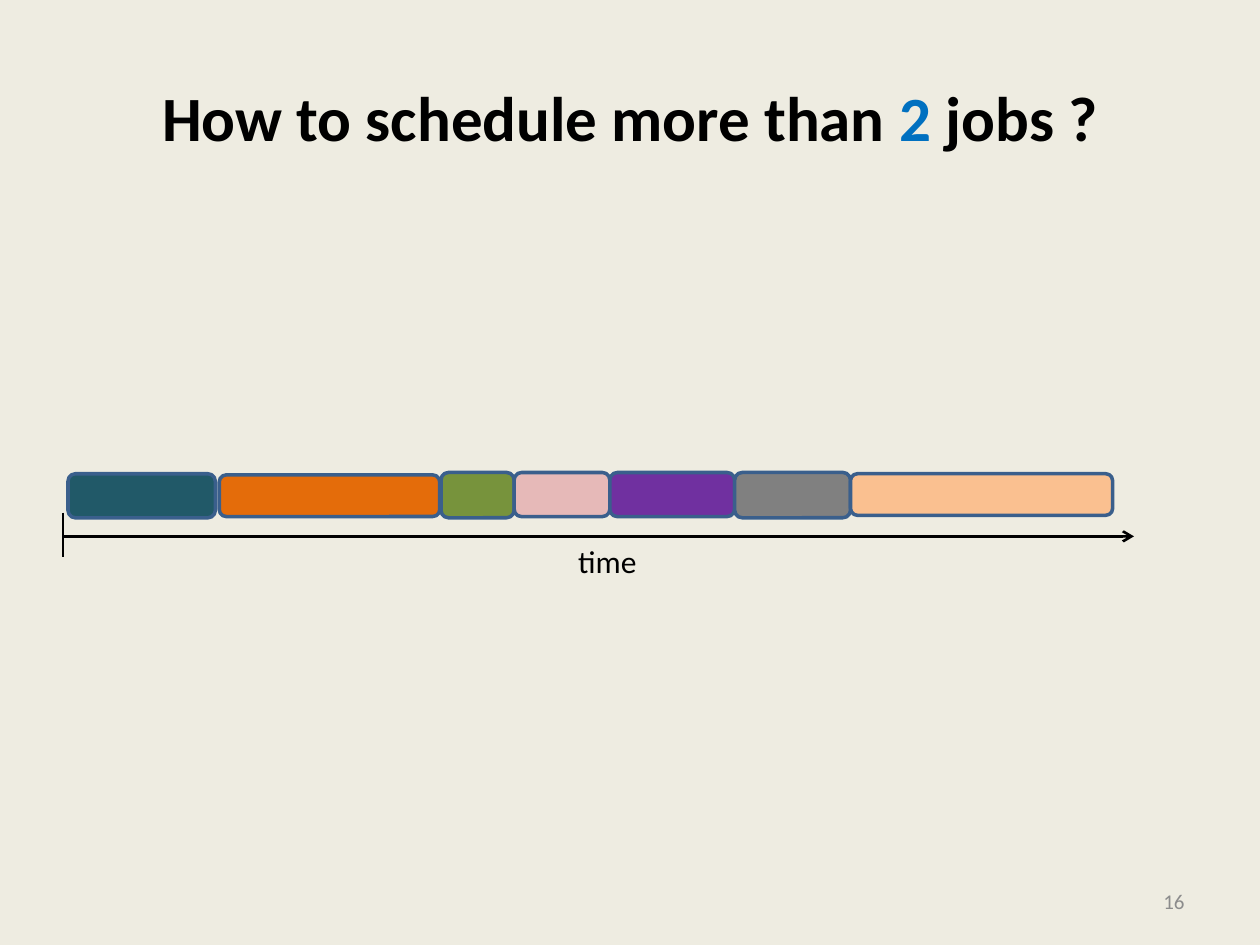
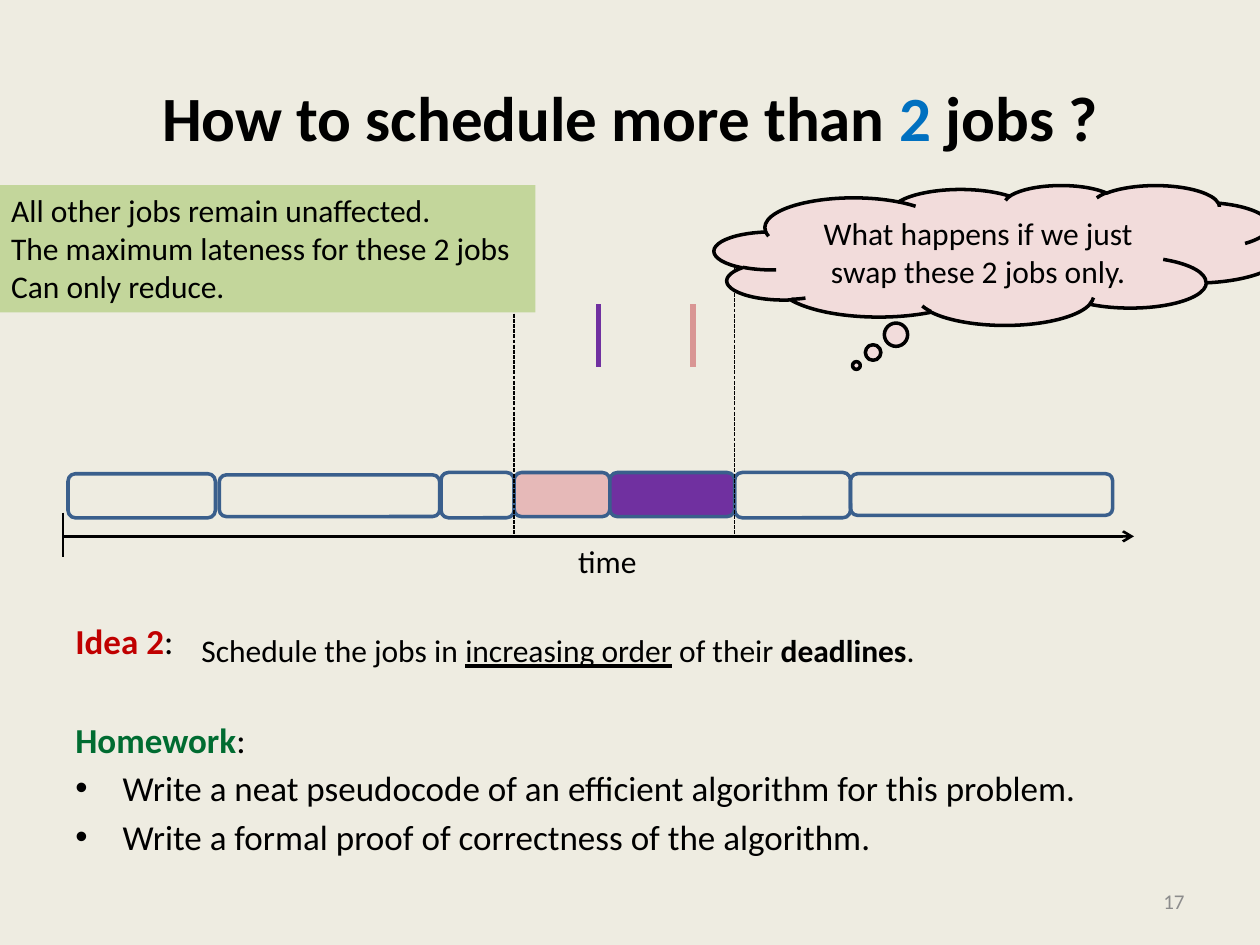
from lxml import etree
from pptx import Presentation
from pptx.dml.color import RGBColor
from pptx.enum import dml, shapes, text
from pptx.oxml import ns
from pptx.util import Pt

FONT = "Calibri"
BLACK = RGBColor(0, 0, 0)
CREAM = RGBColor(0xEE, 0xEC, 0xE1)
GRAY = RGBColor(0x8C, 0x8C, 0x8C)
BLUE = RGBColor(0x00, 0x70, 0xC0)
EDGE = RGBColor(0x3A, 0x5F, 0x8C)
RED = RGBColor(0xC0, 0, 0)
GREEN = RGBColor(0, 0x6C, 0x31)
LIME = RGBColor(0xC3, 0xD6, 0x9B)
BLUSH = RGBColor(0xF2, 0xDC, 0xDB)
ROSE = RGBColor(0xD9, 0x96, 0x94)
TEAL = RGBColor(0x21, 0x59, 0x68)
ORANGE = RGBColor(0xE4, 0x6C, 0x0A)
OLIVE = RGBColor(0x77, 0x93, 0x3C)
PINK = RGBColor(0xE6, 0xB9, 0xB8)
PURPLE = RGBColor(0x70, 0x30, 0xA0)
STONE = RGBColor(0x80, 0x80, 0x80)
PEACH = RGBColor(0xFA, 0xC0, 0x90)

# Each job: left and top within the timeline, width, height, fill
JOBS = [
    (2.9, 0.7, 84.2, 25.2, TEAL),
    (89.3, 1.4, 126, 23.8, ORANGE),
    (216, 0, 41.8, 25.9, OLIVE),
    (257.8, 0, 54.7, 25.2, PINK),
    (312.5, 0, 71.3, 25.2, PURPLE),
    (383.8, 0, 66.2, 25.9, STONE),
    (450, 0.7, 149.8, 23.8, PEACH),
]
PAIR = (PINK, PURPLE)
AXIS = 36.5  # depth of the time axis below the top of the jobs
TIME = (36, 270, 612, 59)

LEFT = text.PP_ALIGN.LEFT
MID = text.PP_ALIGN.CENTER
RIGHT = text.PP_ALIGN.RIGHT


def write(frame, lines, size, align=LEFT, gap=0):
    """Fill a frame; a line is a list of (words, colour, styles) runs."""
    for num, line in enumerate(lines):
        para = frame.add_paragraph() if num else frame.paragraphs[0]
        para.alignment = align
        para.space_before = Pt(gap if num else 0)
        for words, color, *styles in line:
            run = para.add_run()
            run.text = words
            font = run.font
            font.name, font.size = FONT, Pt(size)
            font.color.rgb = color
            font.bold = "bold" in styles
            font.underline = "under" in styles


def label(slide, box, lines, size, align=LEFT, wrap=True, mid=False, gap=0):
    frame = slide.shapes.add_textbox(*map(Pt, box)).text_frame
    frame.word_wrap = wrap
    if mid:
        frame.vertical_anchor = text.MSO_ANCHOR.MIDDLE
    write(frame, lines, size, align, gap)
    return frame


def block(slide, kind, box, fill=None, edge=None):
    shape = slide.shapes.add_shape(kind, *map(Pt, box))
    shape.shadow.inherit = False
    if fill is None:
        shape.fill.background()
    else:
        shape.fill.solid()
        shape.fill.fore_color.rgb = fill
    if edge is None:
        shape.line.fill.background()
    else:
        shape.line.color.rgb = edge
        shape.line.width = Pt(2)
    return shape


def rule(slide, start, end, color=BLACK, width=1.5, dash=False, arrow=False):
    line = slide.shapes.add_connector(
        shapes.MSO_CONNECTOR.STRAIGHT, *map(Pt, start + end))
    props = line._element.spPr
    line.line.color.rgb = color
    line.line.width = Pt(width)
    if dash:
        line.line.dash_style = dml.MSO_LINE.SQUARE_DOT
    if arrow:
        etree.SubElement(props.find(ns.qn("a:ln")), ns.qn("a:tailEnd"), type="arrow")
    etree.SubElement(props, ns.qn("a:effectLst"))


def base(deck, num):
    """Add a slide with the shared ground, title and number."""
    slide = deck.slides.add_slide(deck.slide_layouts[6])
    slide.background.fill.solid()
    slide.background.fill.fore_color.rgb = CREAM
    title = [("How to schedule more than ", BLACK, "bold"),
             ("2", BLUE, "bold"), (" jobs ?", BLACK, "bold")]
    label(slide, (36, 21.6, 648, 90), [title], 36, MID, mid=True)
    label(slide, (516.2, 500.4, 167.8, 28.8), [[(str(num), GRAY)]], 12, RIGHT, mid=True)
    return slide


def jobs(slide, box, shown):
    """Draw the row of jobs, filling only the colours in shown."""
    x, y = box[:2]
    for left, top, wide, high, fill in JOBS:
        block(slide, shapes.MSO_SHAPE.ROUNDED_RECTANGLE, (x + left, y + top, wide, high),
              fill if fill in shown else None, EDGE)


def axis(slide, box):
    x, y, wide, _ = box
    level = y + AXIS
    rule(slide, (x, level), (x + wide, level), arrow=True)
    rule(slide, (x, level - 13.5), (x, level + 12))
    label(slide, (x + 287.3, level - 0.5, 48.2, 28.8), [[("time", BLACK)]], 18, wrap=False)


def limits(slide, box):
    """Mark the span of the pair and the two deadlines above it."""
    x, y = box[:2]
    pair = [job for job in JOBS if job[4] in PAIR]
    for edge in (pair[0][0], pair[1][0] + pair[1][2]):
        rule(slide, (x + edge, y - 132), (x + edge, y + AXIS), width=0.75, dash=True)
    for due, color in ((360, ROSE), (306, PURPLE)):
        rule(slide, (x + due, y - 96), (x + due, y - 60), color, 3)


def cloud(slide, box):
    shape = block(slide, shapes.MSO_SHAPE.CLOUD_CALLOUT, box, BLUSH, BLACK)
    shape.adjustments[0], shape.adjustments[1] = -0.25, 0.79
    frame = shape.text_frame
    frame.word_wrap = True
    frame.vertical_anchor = text.MSO_ANCHOR.MIDDLE
    write(frame, [[("What happens if we just swap these 2 jobs only.", BLACK)]], 18, MID)


def claim(slide, box):
    frame = block(slide, shapes.MSO_SHAPE.RECTANGLE, box, LIME).text_frame
    frame.word_wrap = False
    frame.vertical_anchor = text.MSO_ANCHOR.TOP
    lines = ("All other jobs remain unaffected.",
             "The maximum lateness for these 2 jobs", "Can only reduce.")
    write(frame, [[(line, BLACK)] for line in lines], 18)


def idea(slide, box):
    x, y, wide, high = box
    label(slide, (x, y, 72, high), [[("Idea 2", RED, "bold"), (":", BLACK)]], 20, wrap=False)
    line = [("Schedule the jobs in ", BLACK), ("increasing order", BLACK, "under"),
            (" of their ", BLACK), ("deadlines", BLACK, "bold"), (".", BLACK)]
    label(slide, (x + 72, y + 6.6, wide - 72, high), [line], 18, wrap=False)


def tasks(slide, box):
    lines = [
        [("Homework", GREEN, "bold"), (":", BLACK)],
        [("Write a neat pseudocode of an efficient algorithm for this problem.", BLACK)],
        [("Write a formal proof of correctness of the algorithm.", BLACK)],
    ]
    frame = label(slide, box, lines, 20, gap=3.6)
    for para in frame.paragraphs[1:]:
        props = para._p.get_or_add_pPr()
        props.set("marL", str(Pt(27)))
        props.set("indent", str(Pt(-27)))
        etree.SubElement(props, ns.qn("a:buFont"), typeface="Arial")
        etree.SubElement(props, ns.qn("a:buChar"), char="•")


def main():
    deck = Presentation()
    deck.slide_width, deck.slide_height = Pt(720), Pt(540)

    slide = base(deck, 16)
    jobs(slide, TIME, [job[4] for job in JOBS])
    axis(slide, TIME)

    slide = base(deck, 17)
    jobs(slide, TIME, PAIR)
    limits(slide, TIME)
    axis(slide, TIME)
    cloud(slide, (408.2, 105.8, 324.7, 79.9))
    claim(slide, (-0.7, 105.8, 306.7, 72.7))
    idea(slide, (36, 350.5, 498, 28.8))
    tasks(slide, (36, 407, 648, 90))

    deck.save("out.pptx")


if __name__ == "__main__":
    main()
